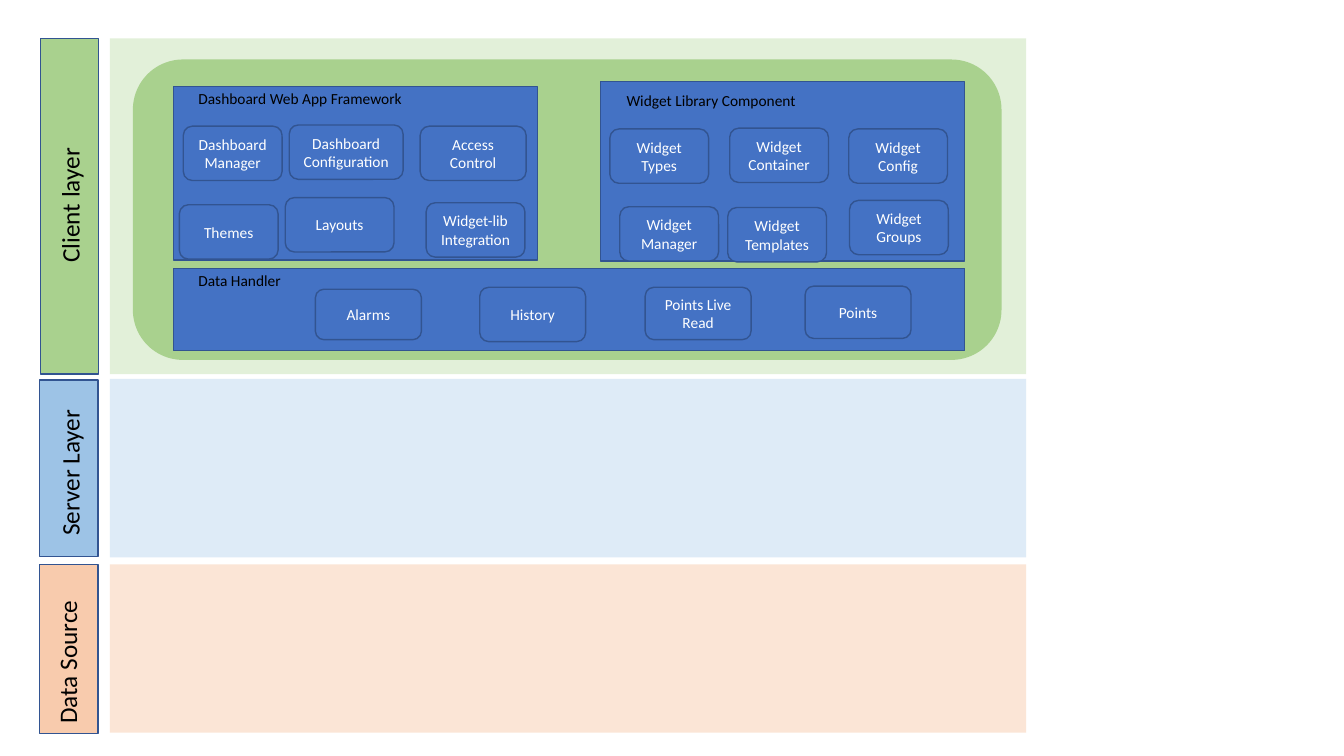
from pptx import Presentation
from pptx.dml.color import RGBColor
from pptx.enum import shapes, text
from pptx.util import Cm, Pt

FONT = "Calibri"
BLACK = RGBColor(0x00, 0x00, 0x00)
WHITE = RGBColor(0xFF, 0xFF, 0xFF)
BLUE = RGBColor(0x44, 0x72, 0xC4)
OUTLINE = RGBColor(0x32, 0x54, 0x91)
GREEN = RGBColor(0xA9, 0xD1, 0x8E)
PALE_GREEN = RGBColor(0xE2, 0xF0, 0xD9)
SKY = RGBColor(0x9D, 0xC3, 0xE6)
PALE_SKY = RGBColor(0xDE, 0xEB, 0xF7)
PEACH = RGBColor(0xF8, 0xCB, 0xAD)
PALE_PEACH = RGBColor(0xFB, 0xE5, 0xD6)

RECT = shapes.MSO_SHAPE.RECTANGLE
ROUNDED = shapes.MSO_SHAPE.ROUNDED_RECTANGLE

# Places are left, top, width, height in centimetres.
# Each layer: name, band colour, tab colour, band, tab, label
LAYERS = [
    ("Client layer", PALE_GREEN, GREEN, (2.77, 0.97, 23.09, 8.46),
     (1.02, 0.97, 1.47, 8.46), (-0.38, 4.22, 4.27, 1.02)),
    ("Server Layer", PALE_SKY, SKY, (2.77, 9.55, 23.09, 4.5),
     (1, 9.58, 1.47, 4.45), (-0.38, 11.1, 4.27, 1.02)),
    ("Data Source", PALE_PEACH, PEACH, (2.77, 14.22, 23.09, 4.24),
     (1, 14.22, 1.47, 4.27), (-0.53, 15.75, 4.45, 1.02)),
]

# Each component: title, frame, title place, modules
COMPONENTS = [
    ("Dashboard Web App Framework", (4.37, 2.18, 9.17, 4.37), (4.75, 2.13, 5.69, 0.74), [
        ("Dashboard Manager", (4.62, 3.18, 2.49, 1.37)),
        ("Dashboard Configuration", (7.29, 3.15, 2.87, 1.37)),
        ("Access Control", (10.59, 3.18, 2.67, 1.37)),
        ("Themes", (4.52, 5.16, 2.49, 1.37)),
        ("Layouts", (7.19, 4.98, 2.74, 1.37)),
        ("Widget-lib Integration", (10.74, 5.11, 2.49, 1.37)),
    ]),
    ("Widget Library Component", (15.14, 2.06, 9.17, 4.52), (15.54, 2.18, 4.8, 0.74), [
        ("Widget Types", (15.37, 3.25, 2.49, 1.37)),
        ("Widget Container", (18.39, 3.23, 2.49, 1.37)),
        ("Widget Config", (21.39, 3.25, 2.49, 1.37)),
        ("Widget Manager", (15.62, 5.21, 2.49, 1.37)),
        ("Widget Templates", (18.34, 5.23, 2.49, 1.37)),
        ("Widget Groups", (21.41, 5.05, 2.49, 1.37)),
    ]),
    ("Data Handler", (4.37, 6.76, 19.94, 2.08), (4.75, 6.71, 2.62, 0.74), [
        ("Alarms", (7.95, 7.29, 2.67, 1.27)),
        ("History", (12.09, 7.24, 2.67, 1.37)),
        ("Points Live Read", (16.26, 7.24, 2.67, 1.32)),
        ("Points", (20.29, 7.21, 2.67, 1.32)),
    ]),
]


def write(sp, words, size, color):
    """Set the words of a shape as one formatted paragraph."""
    p = sp.text_frame.paragraphs[0]
    p.text = words
    font = p.runs[0].font
    font.name, font.size, font.color.rgb = FONT, Pt(size), color
    return p


def add_box(slide, kind, place, fill, outlined=True):
    sp = slide.shapes.add_shape(kind, *map(Cm, place))
    sp.shadow.inherit = False
    sp.fill.solid()
    sp.fill.fore_color.rgb = fill
    if outlined:
        sp.line.color.rgb = OUTLINE
        sp.line.width = Pt(1)
    else:
        sp.line.fill.background()
    return sp


def add_label(slide, words, place, size, wrap=False):
    sp = slide.shapes.add_textbox(*map(Cm, place))
    sp.text_frame.word_wrap = wrap
    sp.text_frame.auto_size = text.MSO_AUTO_SIZE.SHAPE_TO_FIT_TEXT
    write(sp, words, size, BLACK)
    return sp


def add_layer(slide, name, band_color, tab_color, band, tab, label):
    add_box(slide, RECT, band, band_color, outlined=False)
    add_box(slide, RECT, tab, tab_color)
    add_label(slide, name, label, 18, wrap=True).rotation = 270


def add_module(slide, name, place):
    sp = add_box(slide, ROUNDED, place, BLUE)
    sp.text_frame.vertical_anchor = text.MSO_ANCHOR.MIDDLE
    write(sp, name, 11, WHITE).alignment = text.PP_ALIGN.CENTER


def add_component(slide, title, frame, title_place, modules):
    add_box(slide, RECT, frame, BLUE)
    add_label(slide, title, title_place, 11)
    for name, place in modules:
        add_module(slide, name, place)


def main():
    prs = Presentation()
    prs.slide_width, prs.slide_height = Cm(33.87), Cm(19.05)
    slide = prs.slides.add_slide(prs.slide_layouts[6])
    for layer in LAYERS:
        add_layer(slide, *layer)
    add_box(slide, ROUNDED, (3.35, 1.5, 21.89, 7.57), GREEN, outlined=False)
    for component in COMPONENTS:
        add_component(slide, *component)
    prs.save("out.pptx")


if __name__ == "__main__":
    main()
